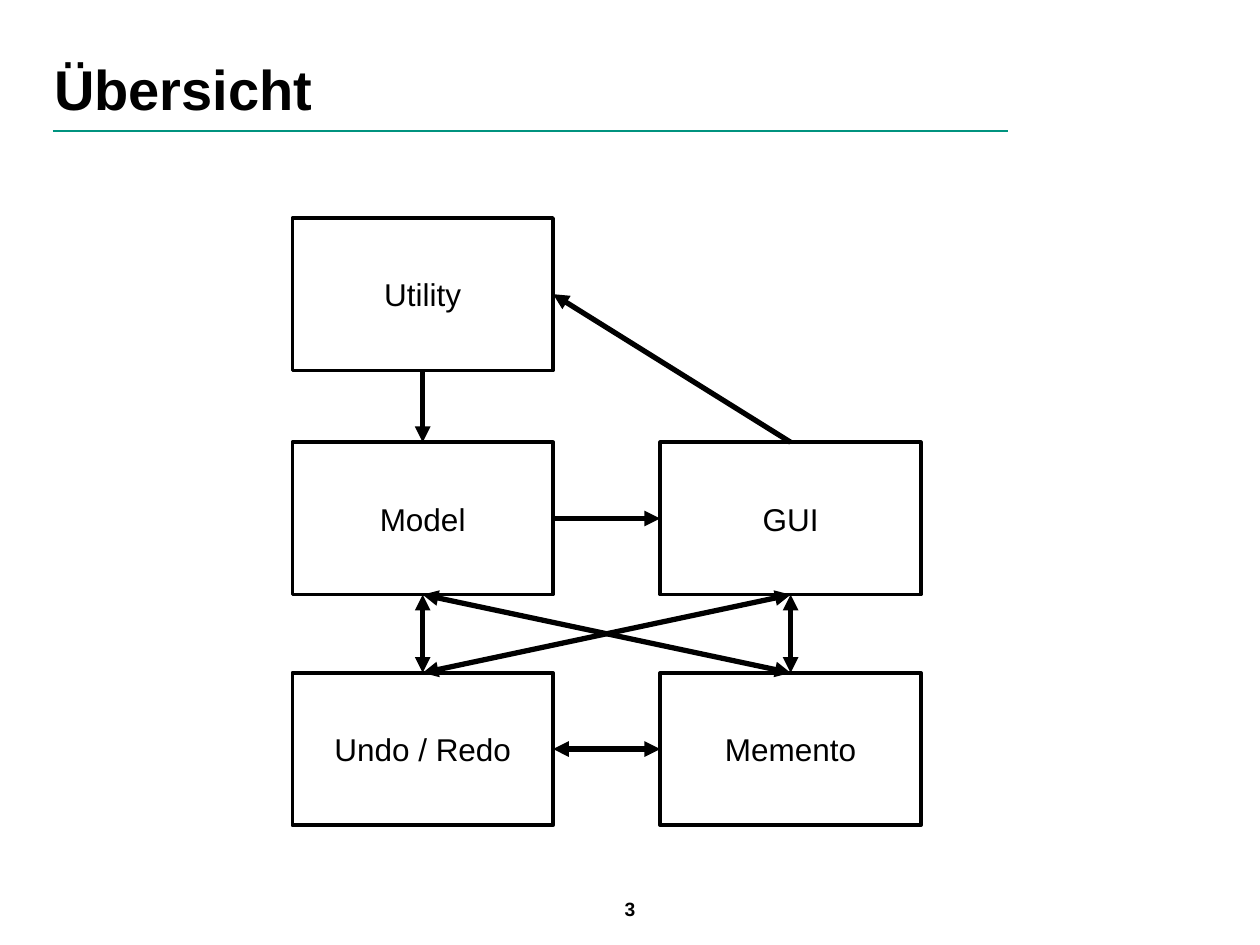
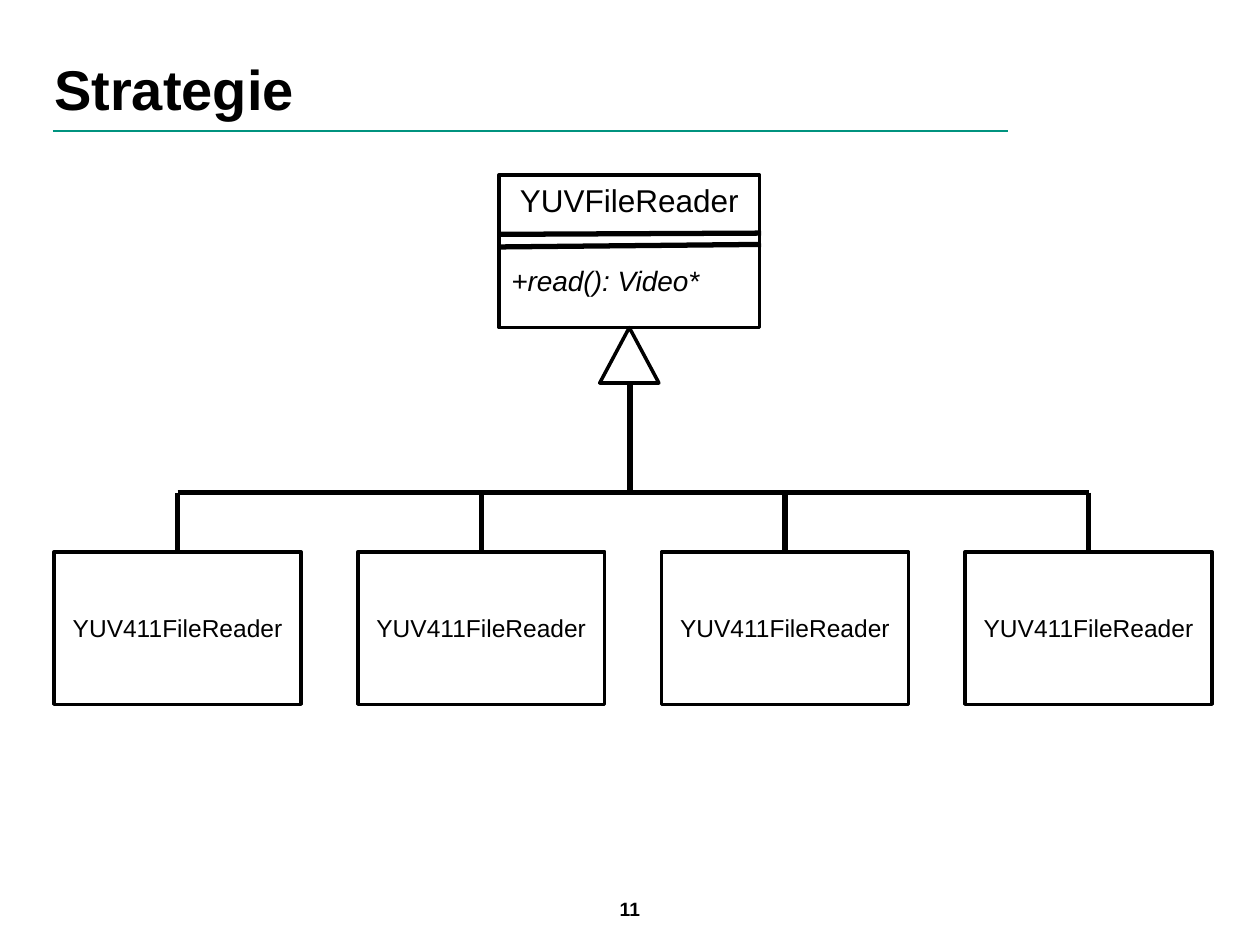
from dataclasses import dataclass
from typing import NamedTuple, Optional

from lxml.etree import SubElement
from pptx import Presentation
from pptx.dml.color import RGBColor
from pptx.enum.shapes import MSO_CONNECTOR, MSO_SHAPE
from pptx.enum.text import MSO_ANCHOR, PP_ALIGN
from pptx.oxml.ns import qn
from pptx.shapes.autoshape import Shape
from pptx.shapes.connector import Connector
from pptx.slide import Slide
from pptx.util import Inches, Pt

TOP, LEFT, BOTTOM, RIGHT = range(4)


@dataclass(frozen=True)
class Theme:
    font: str = "Arial"
    ink: RGBColor = RGBColor(0x00, 0x00, 0x00)
    paper: RGBColor = RGBColor(0xFF, 0xFF, 0xFF)
    accent: RGBColor = RGBColor(0x00, 0x93, 0x7F)
    title_size: float = 32
    box_size: float = 18
    method_size: float = 16
    subclass_size: float = 14
    page_size: float = 11
    rule_width: float = 0.75
    outline_width: float = 2
    link_width: float = 3


THEME = Theme()


class Area(NamedTuple):
    left: float
    top: float
    width: float
    height: float


class Point(NamedTuple):
    x: float
    y: float


@dataclass(frozen=True)
class TextStyle:
    size: float
    bold: bool = False
    italic: bool = False
    align: PP_ALIGN = PP_ALIGN.LEFT
    anchor: MSO_ANCHOR = MSO_ANCHOR.TOP
    inset: Optional[float] = None


@dataclass(frozen=True)
class Module:
    label: str
    column: int
    row: int


@dataclass(frozen=True)
class Link:
    source: str
    source_side: int
    target: str
    target_side: int
    both_ways: bool = False


TITLE_STYLE = TextStyle(THEME.title_size, bold=True, anchor=MSO_ANCHOR.BOTTOM, inset=0)
PAGE_STYLE = TextStyle(THEME.page_size, bold=True, align=PP_ALIGN.CENTER,
                       anchor=MSO_ANCHOR.MIDDLE, inset=0)
MODULE_STYLE = TextStyle(THEME.box_size, align=PP_ALIGN.CENTER, anchor=MSO_ANCHOR.MIDDLE)
CLASS_STYLE = TextStyle(THEME.box_size, align=PP_ALIGN.CENTER)
SUBCLASS_STYLE = TextStyle(THEME.subclass_size, align=PP_ALIGN.CENTER,
                           anchor=MSO_ANCHOR.MIDDLE)
METHOD_STYLE = TextStyle(THEME.method_size, italic=True)

BOX_WIDTH, BOX_HEIGHT = 2.07, 1.21
MODULE_COLUMNS = (2.32, 5.24)
MODULE_ROWS = (1.73, 3.51, 5.34)
MODULES = (
    Module("Utility", 0, 0),
    Module("Model", 0, 1),
    Module("GUI", 1, 1),
    Module("Memento", 1, 2),
    Module("Undo / Redo", 0, 2),
)
LINKS = (
    Link("GUI", TOP, "Utility", RIGHT),
    Link("Utility", BOTTOM, "Model", TOP),
    Link("Model", RIGHT, "GUI", LEFT),
    Link("Model", BOTTOM, "Undo / Redo", TOP, True),
    Link("GUI", BOTTOM, "Memento", TOP, True),
    Link("Memento", TOP, "Model", BOTTOM, True),
    Link("Memento", LEFT, "Undo / Redo", RIGHT, True),
    Link("GUI", BOTTOM, "Undo / Redo", TOP, True),
)

SUBCLASSES = ("YUV411FileReader",) * 4
SUBCLASS_LEFT, SUBCLASS_TOP, SUBCLASS_WIDTH, SUBCLASS_PITCH = 0.43, 4.38, 1.96, 2.41
BRANCH_Y = 3.91


def lengths(values: tuple) -> list:
    return [Inches(value) for value in values]


def write(holder: Shape, text: str, style: TextStyle) -> None:
    frame = holder.text_frame
    frame.word_wrap = True
    frame.vertical_anchor = style.anchor
    if style.inset is not None:
        frame.margin_left = frame.margin_right = Inches(style.inset)
        frame.margin_top = frame.margin_bottom = Inches(style.inset)
    paragraph = frame.paragraphs[0]
    paragraph.alignment = style.align
    run = paragraph.add_run()
    run.text = text
    run.font.name = THEME.font
    run.font.size = Pt(style.size)
    run.font.bold = style.bold
    run.font.italic = style.italic
    run.font.color.rgb = THEME.ink


def add_text(slide: Slide, area: Area, text: str, style: TextStyle) -> None:
    write(slide.shapes.add_textbox(*lengths(area)), text, style)


def add_outline(slide: Slide, area: Area, preset: MSO_SHAPE) -> Shape:
    outline = slide.shapes.add_shape(preset, *lengths(area))
    outline.shadow.inherit = False
    outline.fill.solid()
    outline.fill.fore_color.rgb = THEME.paper
    outline.line.color.rgb = THEME.ink
    outline.line.width = Pt(THEME.outline_width)
    return outline


def add_box(slide: Slide, area: Area, label: str, style: TextStyle) -> Shape:
    box = add_outline(slide, area, MSO_SHAPE.RECTANGLE)
    write(box, label, style)
    return box


def add_line(slide: Slide, start: Point, end: Point, color: RGBColor = THEME.ink,
             width: float = THEME.link_width) -> Connector:
    line = slide.shapes.add_connector(MSO_CONNECTOR.STRAIGHT, *lengths(start + end))
    line.line.color.rgb = color
    line.line.width = Pt(width)
    SubElement(line._element.spPr, qn("a:effectLst"))
    return line


def add_arrow(slide: Slide, link: Link, boxes: dict[str, Shape]) -> None:
    arrow = add_line(slide, Point(0, 0), Point(1, 1))
    arrow.begin_connect(boxes[link.source], link.source_side)
    arrow.end_connect(boxes[link.target], link.target_side)
    stroke = arrow._element.spPr.find(qn("a:ln"))
    for tip in ("a:headEnd", "a:tailEnd") if link.both_ways else ("a:tailEnd",):
        SubElement(stroke, qn(tip), type="triangle")


def add_page(deck: Presentation, title: str, number: int) -> Slide:
    slide = deck.slides.add_slide(deck.slide_layouts[6])
    add_text(slide, Area(4.82, 6.92, 0.36, 0.58), str(number), PAGE_STYLE)
    add_line(slide, Point(0.42, 1.04), Point(8, 1.04), THEME.accent, THEME.rule_width)
    add_text(slide, Area(0.43, 0.36, 6.99, 0.61), title, TITLE_STYLE)
    return slide


def build_overview(deck: Presentation) -> None:
    slide = add_page(deck, "Übersicht", 3)
    boxes = {}
    for module in MODULES:
        area = Area(MODULE_COLUMNS[module.column], MODULE_ROWS[module.row],
                    BOX_WIDTH, BOX_HEIGHT)
        boxes[module.label] = add_box(slide, area, module.label, MODULE_STYLE)
    for link in LINKS:
        add_arrow(slide, link, boxes)


def build_strategy(deck: Presentation) -> None:
    slide = add_page(deck, "Strategie", 11)
    add_box(slide, Area(3.96, 1.39, BOX_WIDTH, BOX_HEIGHT), "YUVFileReader", CLASS_STYLE)
    add_outline(slide, Area(4.76, 2.6, 0.47, 0.44), MSO_SHAPE.ISOSCELES_TRIANGLE)
    add_line(slide, Point(5, 3.04), Point(5, BRANCH_Y))

    centers = []
    for index, label in enumerate(SUBCLASSES):
        left = SUBCLASS_LEFT + index * SUBCLASS_PITCH
        subclass = add_box(slide, Area(left, SUBCLASS_TOP, SUBCLASS_WIDTH, BOX_HEIGHT),
                           label, SUBCLASS_STYLE)
        center = left + SUBCLASS_WIDTH / 2
        branch = add_line(slide, Point(center, BRANCH_Y), Point(center, SUBCLASS_TOP))
        branch.end_connect(subclass, TOP)
        centers.append(center)
    add_line(slide, Point(centers[0], BRANCH_Y), Point(centers[-1], BRANCH_Y))

    for left_y, right_y in ((1.86, 1.85), (1.96, 1.94)):
        add_line(slide, Point(3.96, left_y), Point(6.04, right_y))
    add_text(slide, Area(3.96, 2.04, 1.78, 0.37), "+read(): Video*", METHOD_STYLE)


def main() -> None:
    deck = Presentation()
    deck.slide_width, deck.slide_height = Inches(10), Inches(7.5)
    build_overview(deck)
    build_strategy(deck)
    deck.save("out.pptx")


if __name__ == "__main__":
    main()
